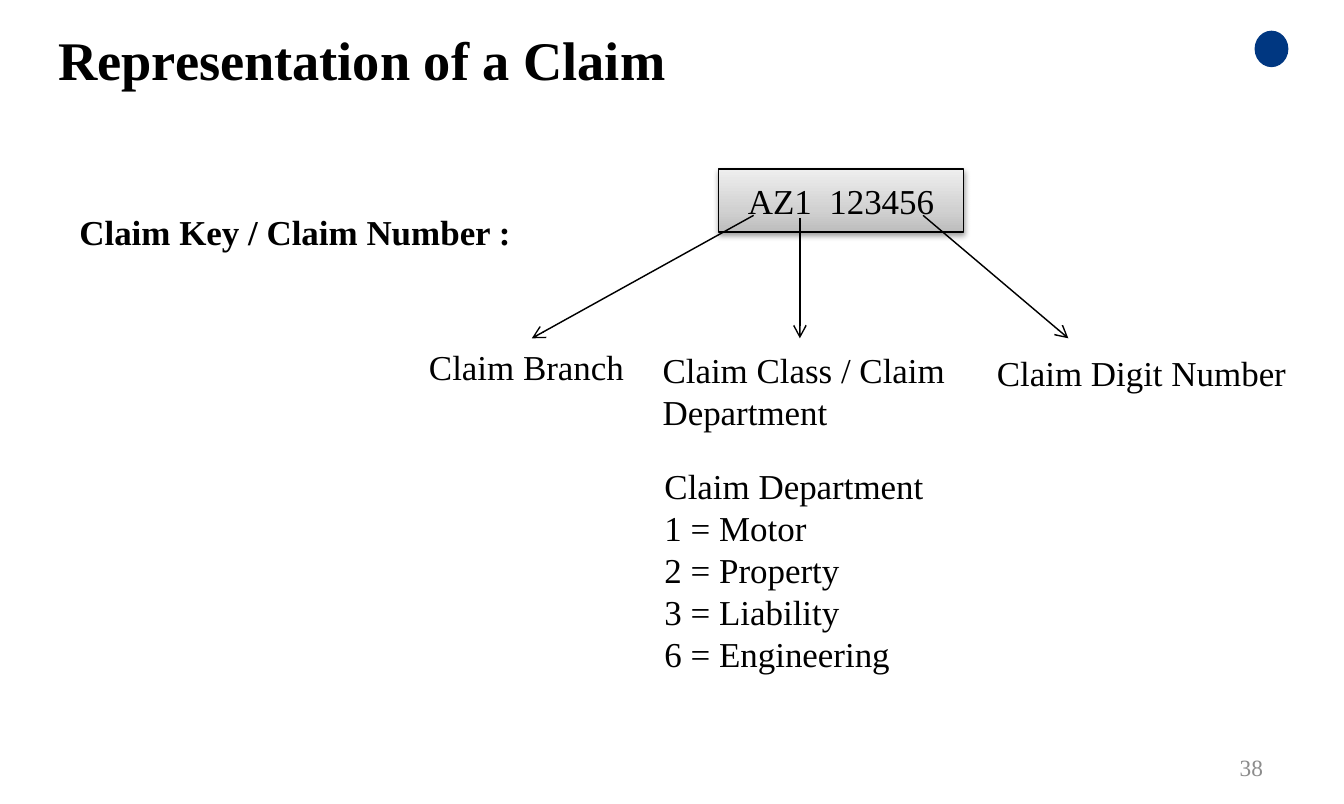
from copy import deepcopy

from lxml.etree import SubElement
from pptx import Presentation
from pptx.dml.color import RGBColor
from pptx.enum.shapes import MSO_CONNECTOR, MSO_SHAPE
from pptx.enum.text import MSO_ANCHOR, MSO_AUTO_SIZE, PP_ALIGN
from pptx.oxml.ns import qn
from pptx.util import Pt

BLACK = RGBColor(0x00, 0x00, 0x00)
GREY = RGBColor(0x8C, 0x8C, 0x8C)
NAVY = RGBColor(0x00, 0x37, 0x81)
SHADES = [
    (0, RGBColor(0xBD, 0xBD, 0xBD)),
    (0.35, RGBColor(0xD1, 0xD1, 0xD1)),
    (1, RGBColor(0xEE, 0xEE, 0xEE)),
]
FONT = "Times New Roman"


def write(frame, text, size=18, color=BLACK, bold=False,
          align=PP_ALIGN.LEFT, anchor=MSO_ANCHOR.TOP, wrap=True):
    frame.word_wrap = wrap
    frame.vertical_anchor = anchor
    frame.text = text
    for para in frame.paragraphs:
        para.alignment = align
        font = para.runs[0].font
        font.name = FONT
        font.size = Pt(size)
        font.bold = bold
        font.color.rgb = color


def add_text(slide, area, text, grow=True, **style):
    box = slide.shapes.add_textbox(*map(Pt, area))
    write(box.text_frame, text, **style)
    if grow:
        box.text_frame.auto_size = MSO_AUTO_SIZE.SHAPE_TO_FIT_TEXT


def add_badge(slide, area):
    badge = slide.shapes.add_shape(MSO_SHAPE.OVAL, *map(Pt, area))
    badge.shadow.inherit = False
    badge.fill.solid()
    badge.fill.fore_color.rgb = NAVY
    badge.line.fill.background()


def shade(shape):
    shape.fill.gradient()
    shape.fill.gradient_angle = 90
    stops = shape._element.spPr.find(qn("a:gradFill")).find(qn("a:gsLst"))
    stops.append(deepcopy(stops[0]))
    for stop, (place, color) in zip(shape.fill.gradient_stops, SHADES):
        stop.position = place
        stop.color.rgb = color


def add_glow(shape):
    shape.shadow.inherit = False
    effects = shape._element.spPr.find(qn("a:effectLst"))
    outer = SubElement(effects, qn("a:outerShdw"), blurRad=str(Pt(3.1)),
                       dist=str(Pt(1.6)), dir="5400000", rotWithShape="0")
    color = SubElement(outer, qn("a:srgbClr"), val=str(BLACK))
    SubElement(color, qn("a:alpha"), val="38000")


def add_key(slide, area, text):
    key = slide.shapes.add_shape(MSO_SHAPE.RECTANGLE, *map(Pt, area))
    shade(key)
    key.line.color.rgb = BLACK
    key.line.width = Pt(0.75)
    add_glow(key)
    write(key.text_frame, text, align=PP_ALIGN.CENTER,
          anchor=MSO_ANCHOR.MIDDLE)


def add_arrow(slide, ends):
    arrow = slide.shapes.add_connector(MSO_CONNECTOR.STRAIGHT, *map(Pt, ends))
    arrow.line.color.rgb = BLACK
    arrow.line.width = Pt(0.75)
    SubElement(arrow.line._get_or_add_ln(), qn("a:tailEnd"), type="arrow")
    SubElement(arrow._element.spPr, qn("a:effectLst"))


def main():
    deck = Presentation()
    deck.slide_width = Pt(691.92)
    deck.slide_height = Pt(414)
    slide = deck.slides.add_slide(deck.slide_layouts[6])

    add_badge(slide, (645.9, 15.8, 17.4, 18.8))
    add_text(slide, (496, 383.8, 161.3, 22.3), "38", grow=False, size=12,
             color=GREY, align=PP_ALIGN.RIGHT, anchor=MSO_ANCHOR.MIDDLE)
    add_text(slide, (23, 10.1, 370.8, 41), "Representation of a Claim",
             size=28, bold=True)
    add_text(slide, (33.8, 105.1, 239.8, 29), "Claim Key / Claim Number :",
             bold=True)

    add_key(slide, (370, 87.1, 126, 32.4), "AZ1  123456")
    for ends in ((388, 110.9, 273.8, 174.2),
                 (411.8, 112.3, 411.8, 174.2),
                 (475.2, 110.9, 550, 174.2)):
        add_arrow(slide, ends)

    for area, text in (
        ((213.8, 174.5, 120.2, 29), "Claim Branch"),
        ((334, 175.8, 166.3, 51), "Claim Class / Claim Department"),
        ((506.1, 177.3, 165, 29), "Claim Digit Number"),
    ):
        add_text(slide, area, text)

    add_text(slide, (335, 235.6, 154, 116.6), "\n".join((
        "Claim Department",
        "1 = Motor",
        "2 = Property",
        "3 = Liability",
        "6 = Engineering",
    )), wrap=False)

    deck.save("out.pptx")


if __name__ == "__main__":
    main()
